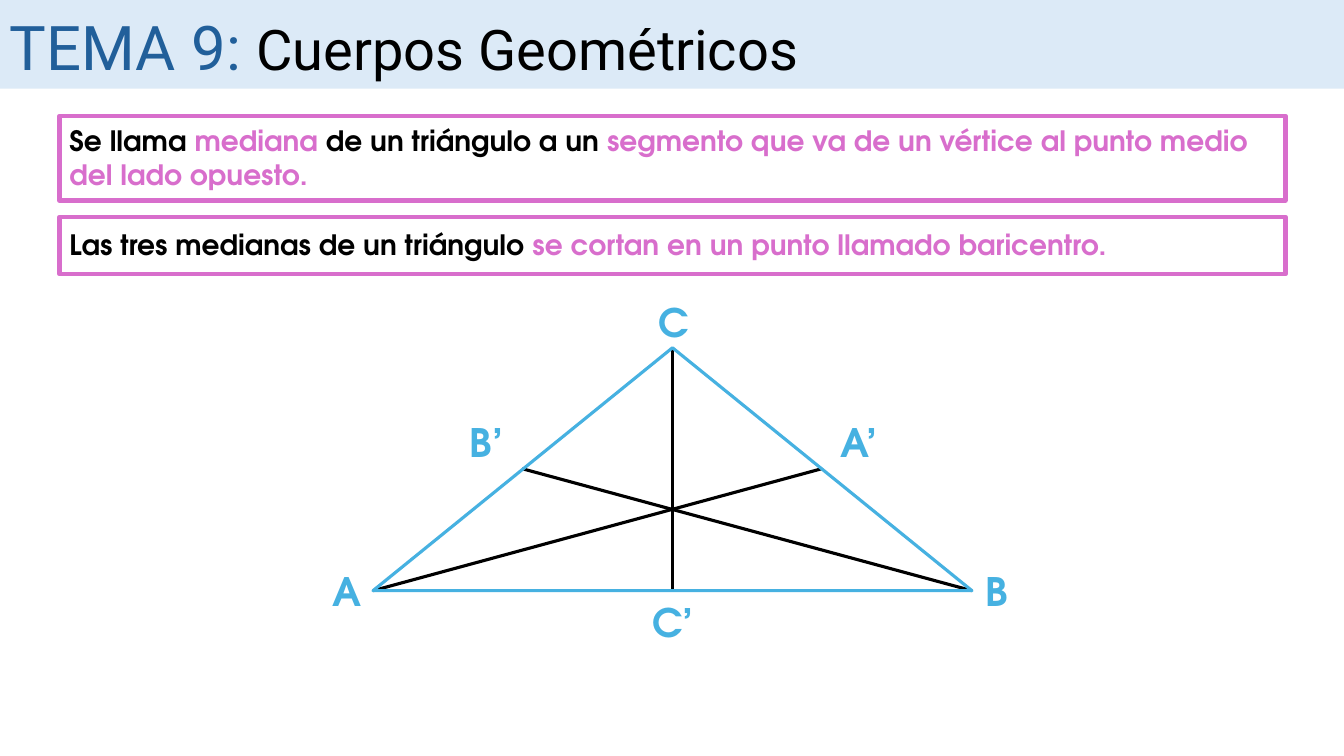
"""Build the slide on the medians and the barycentre of a triangle."""
from pptx import Presentation
from pptx.dml.color import RGBColor
from pptx.enum import shapes, text
from pptx import util as u
from pptx.oxml.ns import qn
from lxml import etree

PX = 9144
THEME = {
    "black": "000000", "pink": "D86ECC", "sky": "46B1E1",
    "band": "DCEAF7", "navy": "215F9A",
    "heading": "Roboto", "body": "TeX Gyre Adventor",
    "tema": 44, "title": 40, "text": 20, "label": 28,
    "frame_line": 3, "figure_line": 2.25,
}

prs = Presentation()
prs.slide_width, prs.slide_height = 1333 * PX, 750 * PX
s = prs.slides.add_slide(prs.slide_layouts[6])


def add_shape(kind, box, fill=None, line=None, width=None):
    sp = s.shapes.add_shape(kind, *(n * PX for n in box))
    sp.shadow.inherit = False
    if fill:
        sp.fill.solid()
        sp.fill.fore_color.rgb = RGBColor.from_string(THEME[fill])
    else:
        sp.fill.background()
    if line:
        sp.line.color.rgb = RGBColor.from_string(THEME[line])
        sp.line.width = u.Pt(THEME[width])
    else:
        sp.line.fill.background()


def add_text(box, runs, font, bold=False, align=text.PP_ALIGN.LEFT):
    tf = s.shapes.add_textbox(*(n * PX for n in box)).text_frame
    tf.word_wrap = True
    p = tf.paragraphs[0]
    p.alignment = align
    for words, color, size in runs:
        r = p.add_run()
        r.text = words
        fmt = {"name": THEME[font], "size": u.Pt(THEME[size]), "bold": bold}
        for key, value in fmt.items():
            setattr(r.font, key, value)
        r.font.color.rgb = RGBColor.from_string(THEME[color])


add_shape(shapes.MSO_SHAPE.RECTANGLE, (0, 0, 1333, 88), fill="band")
add_text((0, 4, 1185, 84), [("TEMA 9: ", "navy", "tema"),
                            ("Cuerpos Geométricos", "black", "title")], "heading")

statements = [
    (115, 84, 118, 77, [
        ("Se llama ", "black"), ("mediana", "pink"),
        (" de un triángulo a un ", "black"),
        ("segmento que va de un vértice al punto medio del lado opuesto.", "pink")]),
    (215, 57, 221, 44, [
        ("Las tres medianas de un triángulo ", "black"),
        ("se cortan en un punto llamado baricentro.", "pink")]),
]
for frame_y, frame_h, text_y, text_h, runs in statements:
    add_shape(shapes.MSO_SHAPE.RECTANGLE, (59, frame_y, 1216, frame_h),
              line="pink", width="frame_line")
    add_text((59, text_y, 1216, text_h), [(*run, "text") for run in runs],
             "body", bold=True)

A, B, C = (370, 586), (964, 586), (667, 345)
for vertex, (x1, y1), (x2, y2) in ((C, A, B), (B, A, C), (A, B, C)):
    ends = (*vertex, (x1 + x2) // 2, (y1 + y2) // 2)
    median = s.shapes.add_connector(shapes.MSO_CONNECTOR.STRAIGHT,
                                    *(n * PX for n in ends))
    median.line.color.rgb = RGBColor.from_string(THEME["black"])
    median.line.width = u.Pt(THEME["figure_line"])
    etree.SubElement(median._element.spPr, qn("a:effectLst"))

add_shape(shapes.MSO_SHAPE.ISOSCELES_TRIANGLE,
          (A[0], C[1], B[0] - A[0], A[1] - C[1]), line="sky", width="figure_line")

labels = [("A", 319, 558, 50), ("B", 964, 558, 50), ("C", 643, 291, 50),
          ("B’", 447, 410, 71), ("A’", 816, 410, 71), ("C’", 632, 589, 71)]
for name, x, y, w in labels:
    add_text((x, y, w, 57), [(name, "sky", "label")], "body", bold=True,
             align=text.PP_ALIGN.CENTER)

prs.save("out.pptx")
